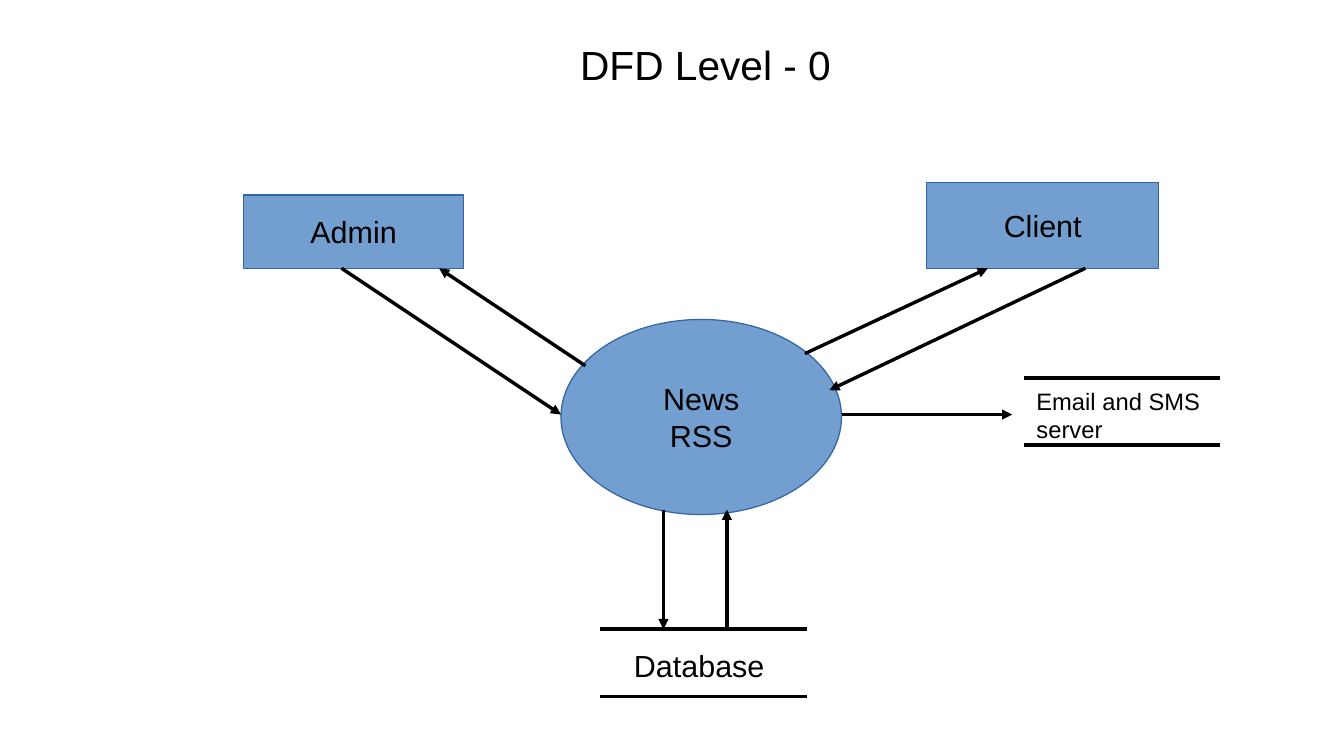
from lxml import etree
from pptx import Presentation
from pptx.dml.color import RGBColor
from pptx.enum.shapes import MSO_CONNECTOR, MSO_SHAPE
from pptx.enum.text import MSO_ANCHOR, MSO_AUTO_SIZE, PP_ALIGN
from pptx.oxml.ns import qn
from pptx.util import Pt

STRAIGHT = MSO_CONNECTOR.STRAIGHT
RECTANGLE, OVAL = MSO_SHAPE.RECTANGLE, MSO_SHAPE.OVAL
TOP, MIDDLE = MSO_ANCHOR.TOP, MSO_ANCHOR.MIDDLE
LEFT, CENTER = PP_ALIGN.LEFT, PP_ALIGN.CENTER
NO_AUTOFIT = MSO_AUTO_SIZE.NONE

COLORS = {"fill": "729FCF", "outline": "3465A4", "ink": "000000"}
FONT = "Arial"
HAIRLINE = 0
STORE_HEIGHT = 39.6

TITLE = ("DFD Level - 0", (39.6, 18, 753.84, 39.6))
NODES = [
    (OVAL, "News\nRSS", (331.2, 188.64, 165.6, 115.2)),
    (RECTANGLE, "Admin", (144, 115.2, 129.6, 43.2)),
    (RECTANGLE, "Client", (547.2, 108, 136.8, 50.4)),
]
STORES = [
    {"text": "Email and SMS server", "size": 14, "bars": (604.8, 223.2, 115.2),
     "box": (604.8, 224.64, 122.4, 38.16)},
    {"text": "Database", "size": 18, "bars": (354.24, 371.52, 122.4),
     "box": (367.2, 378.72, 108, 27.36)},
]
FLOWS = [
    ((345.6, 216), (259.2, 158.4)),
    ((201.6, 158.4), (331.2, 244.8)),
    ((475.2, 208.8), (583.2, 158.4)),
    ((640.8, 158.4), (489.6, 230.4)),
    ((496.8, 244.8), (597.6, 244.8)),
    ((391.68, 300.96), (391.68, 371.52)),
    ((429.12, 371.52), (429.12, 300.96)),
]


def color(name):
    return RGBColor.from_string(COLORS[name])


def points(values):
    return [Pt(value) for value in values]


def write(shape, text, size=18, align=CENTER, anchor=MIDDLE, wrap=True, insets=(7.2, 3.6)):
    frame = shape.text_frame
    frame.text = text
    frame.auto_size = NO_AUTOFIT
    frame.word_wrap = wrap
    frame.vertical_anchor = anchor
    frame.margin_left = frame.margin_right = Pt(insets[0])
    frame.margin_top = frame.margin_bottom = Pt(insets[1])
    for paragraph in frame.paragraphs:
        paragraph.alignment = align
        paragraph.font.name = FONT
        paragraph.font.size = Pt(size)
        paragraph.font.color.rgb = color("ink")


def add_node(slide, kind, text, box):
    shape = slide.shapes.add_shape(kind, *points(box))
    shape.shadow.inherit = False
    shape.fill.solid()
    shape.fill.fore_color.rgb = color("fill")
    shape.line.color.rgb = color("outline")
    shape.line.width = Pt(HAIRLINE)
    write(shape, text, wrap=False)


def add_line(slide, start, end, arrow=False):
    connector = slide.shapes.add_connector(STRAIGHT, *points(start + end))
    connector.line.color.rgb = color("ink")
    connector.line.width = Pt(HAIRLINE)
    properties = connector._element.spPr
    if arrow:
        etree.SubElement(properties.find(qn("a:ln")), qn("a:tailEnd"), type="triangle")
    etree.SubElement(properties, qn("a:effectLst"))


def add_store(slide, store):
    left, top, width = store["bars"]
    for y in (top, top + STORE_HEIGHT):
        add_line(slide, (left, y), (left + width, y))
    box = slide.shapes.add_textbox(*points(store["box"]))
    write(box, store["text"], size=store["size"], align=LEFT, anchor=TOP)


def main():
    presentation = Presentation()
    presentation.slide_width, presentation.slide_height = points((793.44, 446.4))
    slide = presentation.slides.add_slide(presentation.slide_layouts[5])
    title = slide.shapes.title
    text, box = TITLE
    title.left, title.top, title.width, title.height = points(box)
    write(title, text, size=24, insets=(0, 0))
    for node in NODES:
        add_node(slide, *node)
    for start, end in FLOWS:
        add_line(slide, start, end, arrow=True)
    for store in STORES:
        add_store(slide, store)
    presentation.save("out.pptx")


if __name__ == "__main__":
    main()
